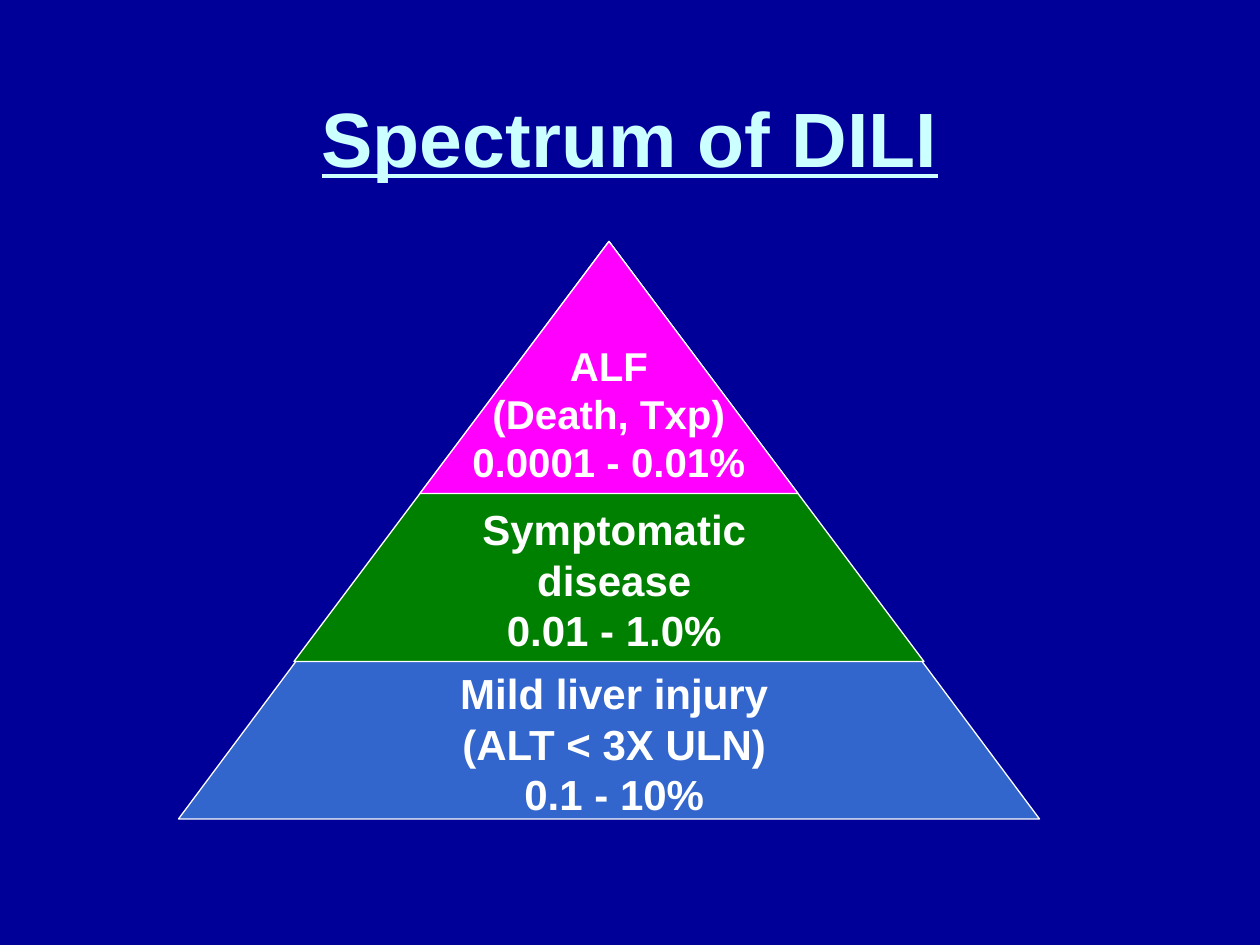
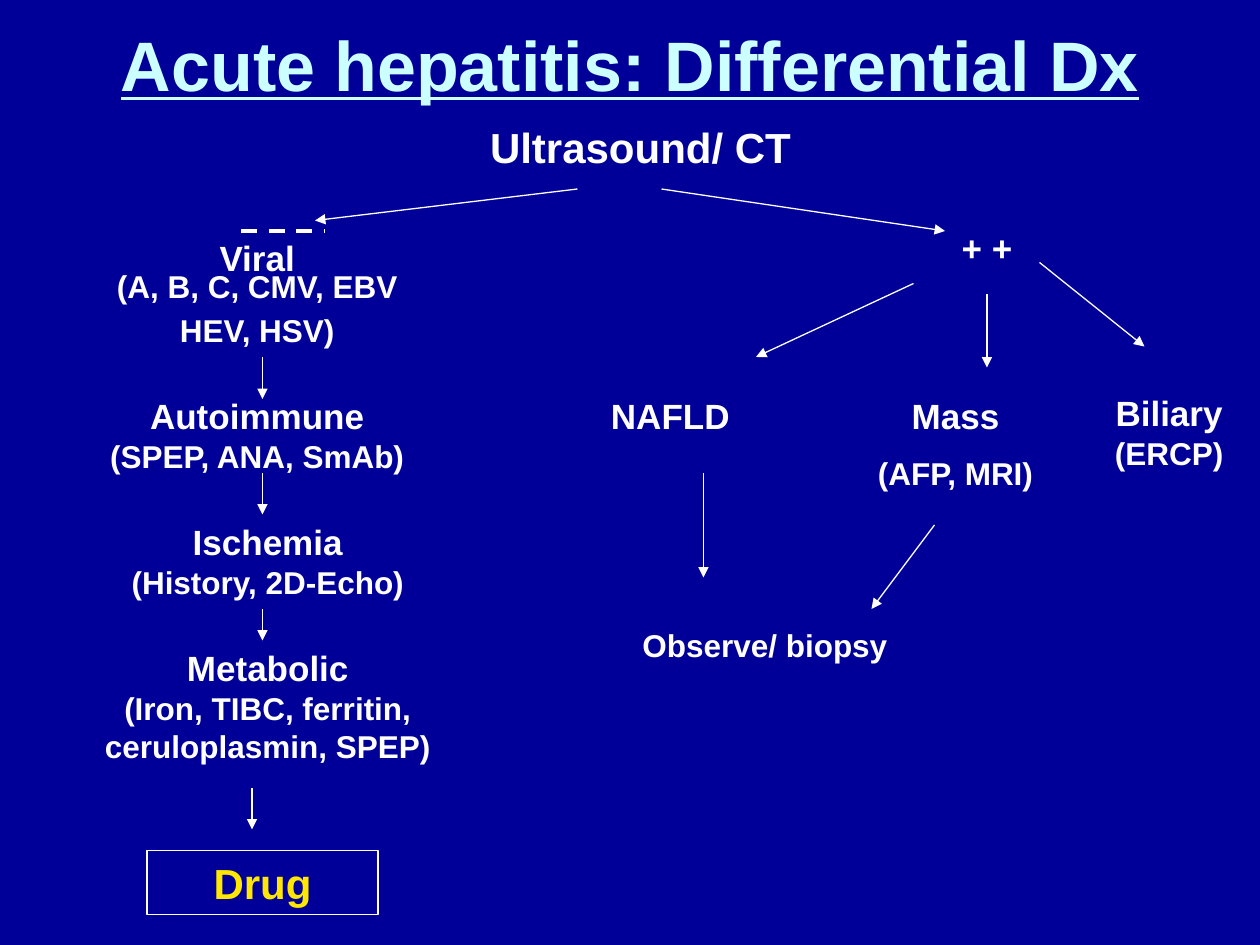
from lxml.etree import SubElement
from pptx import Presentation
from pptx.dml.color import RGBColor
from pptx.enum.dml import MSO_LINE
from pptx.enum.shapes import MSO_CONNECTOR, MSO_SHAPE
from pptx.enum.text import MSO_ANCHOR as ANCHOR, MSO_AUTO_SIZE, PP_ALIGN as ALIGN
from pptx.oxml.ns import qn
from pptx.util import Inches, Pt

NAVY, ICE, WHITE, YELLOW = "000099", "CCFFFF", "FFFFFF", "FFE701"
FONT = "Arial"
COLS, ROWS = 120, 90
CELL = Inches(10) / COLS

# Lengths are cells of the 120 by 90 grid.
APEX = (58, 23)
TIERS = [
    (82, 55, "3366CC"),
    (60, 40, "008000"),
    (36, 24, "FF00FF"),
]
TIER_LABELS = [
    ((37, 31.9, 42, 15), 23, ["ALF", "(Death, Txp)", "0.0001 - 0.01%"]),
    ((40, 47.4, 37, 15.6), 24, ["Symptomatic disease", "0.01 - 1.0%"]),
    ((33, 63, 51, 15.6), 24, ["Mild liver injury", "(ALT < 3X ULN)", "0.1 - 10%"]),
]

FINDINGS = [
    ((45, 11, 32, 6), [[("Ultrasound/ CT", 24)]], {}),
    ((3, 23, 43, 10.8), [[("Viral", 20), ("(A, B, C, CMV, EBV", 18)],
                         [("HEV, HSV)", 18)]], {"spacing": 0.7}),
    ((0, 37, 49, 8.8), [[("Autoimmune", 20), ("(SPEP, ANA, SmAb)", 18)]], {}),
    ((3, 49, 45, 8.8), [[("Ischemia", 20), ("(History, 2D-Echo)", 18)]], {}),
    ((3, 61, 45, 12.4), [[("Metabolic", 20),
                          ("(Iron, TIBC, ferritin, ceruloplasmin, SPEP)", 18)]], {}),
    ((84, 21, 20, 5.2), [[("+ +", 20)]], {}),
    ((57, 37, 21, 11.2), [[("NAFLD", 20)]], {"align": ALIGN.LEFT}),
    ((78, 37, 26, 10.7), [[("Mass", 20)], [("(AFP, MRI)", 18)]], {}),
    ((105, 36.7, 12.7, 8.8), [[("Biliary", 20)], [("(ERCP)", 18)]],
     {"wrap": False, "before": 0}),
    ((60, 59, 25.8, 4.8), [[("Observe/ biopsy", 18)]],
     {"wrap": False, "align": ALIGN.LEFT}),
]
DRUG_BOX = (14, 81, 22, 6.1)
NEGATIVE_DASH = ((23, 22), (31, 22))
ARROWS = [
    ((55, 18), (30, 21)),
    ((63, 18), (90, 22)),
    ((25, 34), (25, 38)),
    ((25, 45), (25, 49)),
    ((25, 58), (25, 61)),
    ((24, 75), (24, 79)),
    ((87, 27), (72, 34)),
    ((94, 28), (94, 35)),
    ((99, 25), (109, 33)),
    ((67, 45), (67, 55)),
    ((89, 50), (83, 58)),
]


def rgb(value):
    return RGBColor.from_string(value)


def cells(*values):
    return [round(v * CELL) for v in values]


def write(sp, paragraphs, color=WHITE, align=ALIGN.CENTER, spacing=None,
          before=10, wrap=True, anchor=ANCHOR.TOP, underline=None):
    tf = sp.text_frame
    tf.word_wrap = wrap
    tf.auto_size = MSO_AUTO_SIZE.NONE
    tf.vertical_anchor = anchor
    for i, lines in enumerate(paragraphs):
        p = tf.add_paragraph() if i else tf.paragraphs[0]
        p.text = "\n".join(text for text, _ in lines)
        p.alignment = align
        p.line_spacing = spacing
        p.space_before = Pt(before if i else 0)
        for r, (_, size) in zip(p.runs, lines):
            r.font.name, r.font.size = FONT, Pt(size)
            r.font.bold, r.font.underline = True, underline
            r.font.color.rgb = rgb(color)


def add_text(slide, box, paragraphs, **style):
    write(slide.shapes.add_textbox(*cells(*box)), paragraphs, **style)


def add_title(slide, text, top, height, size):
    add_text(slide, (9, top, COLS - 18, height), [[(text, size)]],
             color=ICE, anchor=ANCHOR.MIDDLE, underline=True)


def add_outlined(slide, kind, box, fill=None):
    sp = slide.shapes.add_shape(kind, *cells(*box))
    sp.shadow.inherit = False
    if fill:
        sp.fill.solid()
        sp.fill.fore_color.rgb = rgb(fill)
    else:
        sp.fill.background()
    sp.line.color.rgb = rgb(WHITE)
    sp.line.width = Pt(0.75)
    return sp


def add_line(slide, start, end, width=0.75, arrow=True):
    ln = slide.shapes.add_connector(MSO_CONNECTOR.STRAIGHT, *cells(*start, *end))
    ln.line.color.rgb = rgb(WHITE)
    ln.line.width = Pt(width)
    if arrow:
        SubElement(ln.line._get_or_add_ln(), qn("a:tailEnd"), type="triangle")
    else:
        ln.line.dash_style = MSO_LINE.DASH
    SubElement(ln._element.spPr, qn("a:effectLst"))


def build_spectrum(slide):
    add_title(slide, "Spectrum of DILI", 6, 14, 44)
    x, y = APEX
    for width, height, fill in TIERS:
        add_outlined(slide, MSO_SHAPE.ISOSCELES_TRIANGLE,
                     (x - width / 2, y, width, height), fill)
    for box, size, lines in TIER_LABELS:
        add_text(slide, box, [[(line, size) for line in lines]])


def build_differential(slide):
    add_title(slide, "Acute hepatitis: Differential Dx", 1, 10, 40)
    for box, paragraphs, style in FINDINGS:
        add_text(slide, box, paragraphs, **style)
    drug = add_outlined(slide, MSO_SHAPE.RECTANGLE, DRUG_BOX)
    write(drug, [[("Drug", 24)]], color=YELLOW, anchor=ANCHOR.MIDDLE)
    for start, end in ARROWS:
        add_line(slide, start, end)
    add_line(slide, *NEGATIVE_DASH, width=2.25, arrow=False)


def main():
    prs = Presentation()
    prs.slide_width, prs.slide_height = cells(COLS, ROWS)
    background = prs.slide_master.background.fill
    background.solid()
    background.fore_color.rgb = rgb(NAVY)
    for build in (build_spectrum, build_differential):
        build(prs.slides.add_slide(prs.slide_layouts[6]))
    prs.save("out.pptx")


if __name__ == "__main__":
    main()
